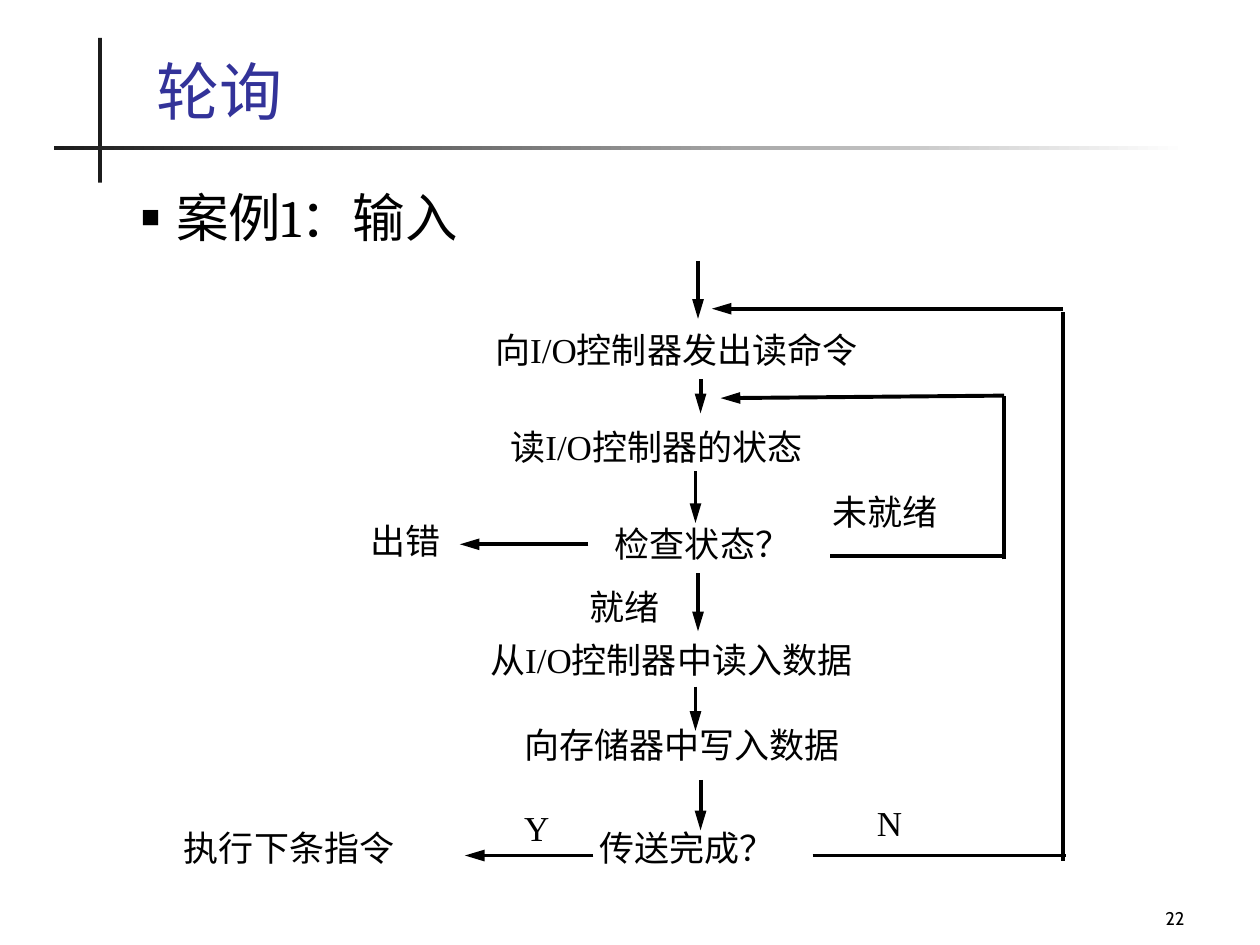
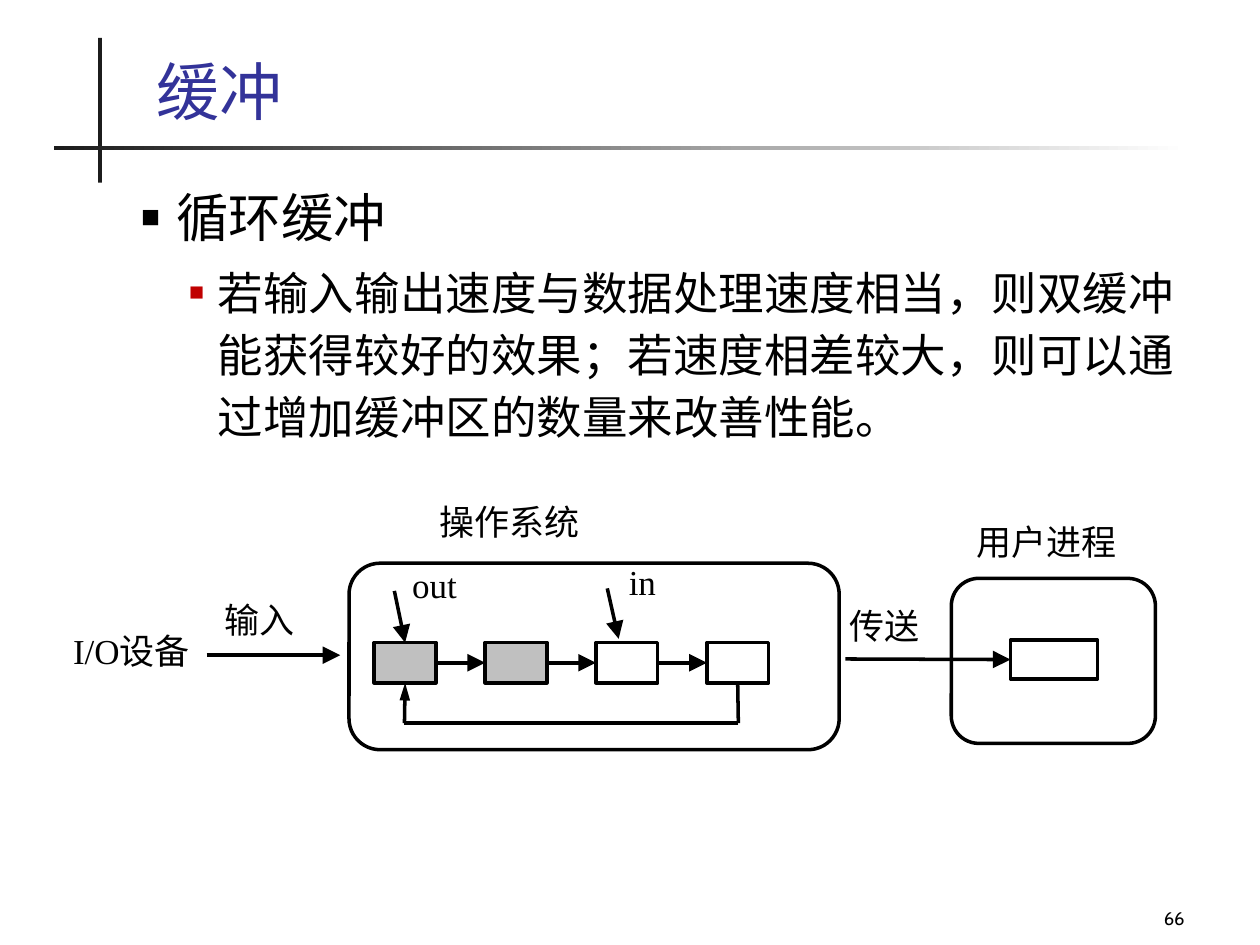
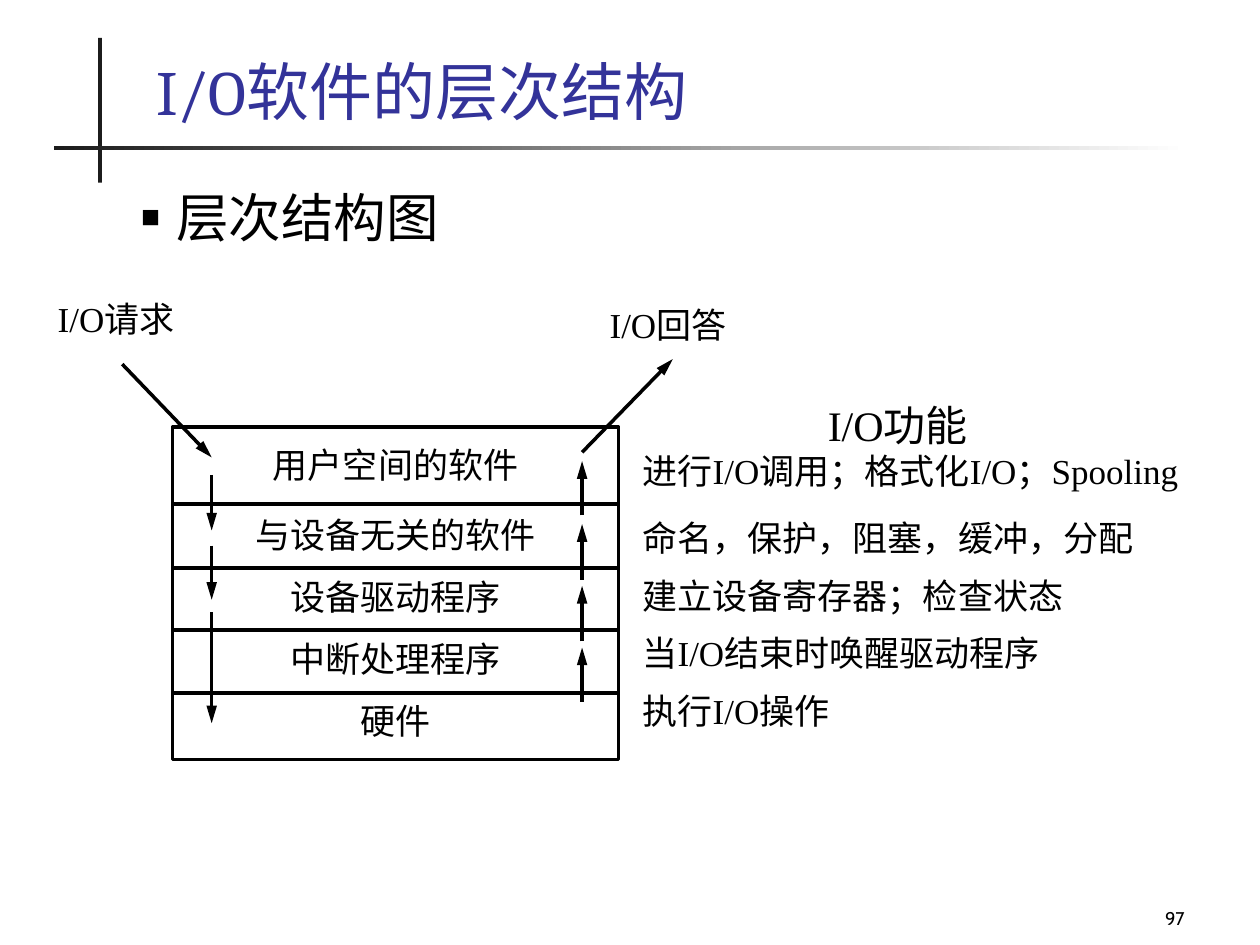
from dataclasses import dataclass
from lxml.etree import SubElement
from pptx import Presentation
from pptx.dml.color import RGBColor as RGB
from pptx.enum.shapes import MSO_CONNECTOR as Link, MSO_SHAPE as Kind
from pptx.enum.text import MSO_ANCHOR as Anchor, MSO_AUTO_SIZE as Fit, PP_ALIGN as Align
from pptx.oxml.ns import qn
from pptx.util import Inches, Pt


@dataclass(frozen=True)
class Theme:
    ink: str = "000000"
    paper: str = "FFFFFF"
    band: str = "1C1C1C"
    title: str = "333399"
    mark: str = "C00000"
    full: str = "C0C0C0"
    serif: str = "Cambria"
    label: str = "Times New Roman"
    small: str = "Cabin"
    head: float = 36
    list: float = 30
    sub: float = 26
    key: float = 24
    text: float = 20
    page: float = 10.5
    line: float = 2
    bold: float = 2.25


T = Theme()


def color(code):
    return RGB.from_string(code)


def write(par, text, size=T.text, font=T.label, ink=T.ink, align=Align.JUSTIFY,
          before=0, space=None, left=0, hang=0):
    run = par.add_run()
    run.text = text
    run.font.size = Pt(size)
    run.font.name = font
    run.font.color.rgb = color(ink)
    par.alignment = align
    par.space_before = Pt(before)
    if space:
        par.line_spacing = space
    props = par._p.get_or_add_pPr()
    props.set("marL", str(Inches(left)))
    props.set("indent", str(Inches(-hang)))


def bullet(par, ink, size):
    props = par._p.get_or_add_pPr()
    tint = SubElement(props, qn("a:buClr"))
    SubElement(tint, qn("a:srgbClr"), val=ink)
    SubElement(props, qn("a:buSzPct"), val=str(size * 1000))
    SubElement(props, qn("a:buChar"), char="■")


def frame(shape, inset=(0, 0, 0, 0), anchor=Anchor.TOP):
    body = shape.text_frame
    body.word_wrap = True
    body.auto_size = Fit.NONE
    body.vertical_anchor = anchor
    sides = [Inches(n) for n in inset]
    body.margin_left, body.margin_top, body.margin_right, body.margin_bottom = sides
    return body


def place(shape, *box):
    shape.left, shape.top, shape.width, shape.height = map(Inches, box)


def stack(body, rows):
    for i, (text, style) in enumerate(rows):
        par = body.add_paragraph() if i else body.paragraphs[0]
        write(par, text, **style)


def label(slide, text, *box, inset=(0, 0, 0, 0), anchor=Anchor.TOP, **style):
    shape = slide.shapes.add_textbox(*map(Inches, box))
    stack(frame(shape, inset, anchor), [(text, style)])


def block(slide, *box, kind=Kind.RECTANGLE, fill=T.paper, edge=True):
    shape = slide.shapes.add_shape(kind, *map(Inches, box))
    shape.shadow.inherit = False
    shape.fill.solid()
    shape.fill.fore_color.rgb = color(fill)
    if edge:
        shape.line.color.rgb = color(T.ink)
        shape.line.width = Pt(T.line)
    else:
        shape.line.fill.background()
    return shape


def wire(slide, x1, y1, x2, y2, width=T.line, tip=None, start=None, end=None):
    link = slide.shapes.add_connector(Link.STRAIGHT, *map(Inches, (x1, y1, x2, y2)))
    link.line.color.rgb = color(T.ink)
    link.line.width = Pt(width)
    props = link._element.spPr
    if tip:
        SubElement(props.find(qn("a:ln")), qn("a:tailEnd"), type="triangle", w=tip, len="lg")
    SubElement(props, qn("a:effectLst"))
    if start:
        link.begin_connect(*start)
    if end:
        link.end_connect(*end)


def page(deck, title, items, number):
    slide = deck.slides.add_slide(deck.slide_layouts[1])
    block(slide, 0.78, 0.3, 0.03, 1.15, fill=T.band, edge=False)
    rule = block(slide, 0.43, 1.16, 9, 0.03, edge=False)
    rule.fill.gradient()
    rule.fill.gradient_angle = 0
    for stop, code in zip(rule.fill.gradient_stops, (T.band, T.paper)):
        stop.color.rgb = color(code)
    pad = (0.1, 0.05, 0.1, 0.05)
    head = slide.shapes.title
    place(head, 1.14, 0.25, 8.59, 0.82)
    stack(frame(head, pad, Anchor.BOTTOM),
          [(title, dict(size=T.head, font=T.serif, ink=T.title, align=Align.LEFT))])
    body = slide.placeholders[1]
    place(body, 1.02, 1.35, 8.5, 5.35)
    looks = [(T.list, 0.28, 0.28, T.ink, 60), (T.sub, 0.61, 0.23, T.mark, 55)]
    text = frame(body, pad)
    stack(text, [(item, dict(size=size, font=T.serif, align=Align.LEFT, before=size / 5,
                             space=1.14, left=left, hang=hang))
                 for item, (size, left, hang, _, _) in zip(items, looks)])
    for level, (par, look) in enumerate(zip(text.paragraphs, looks)):
        par.level = level
        bullet(par, *look[3:])
    label(slide, number, 7.42, 6.92, 2.08, 0.5, inset=pad, anchor=Anchor.BOTTOM,
          size=T.page, font=T.small, align=Align.RIGHT)
    return slide


def polling(deck):
    slide = page(deck, "轮询", ["案例1：输入"], "22")
    for text, *box in [
        ("向I/O控制器发出读命令", 3.93, 2.61, 3.63, 0.46),
        ("读I/O控制器的状态", 4.05, 3.38, 3.12, 0.44),
        ("检查状态？", 4.88, 4.15, 1.78, 0.45),
        ("从I/O控制器中读入数据", 3.89, 5.07, 3.77, 0.43),
        ("向存储器中写入数据", 4.16, 5.74, 3.3, 0.46),
        ("传送完成？", 4.76, 6.56, 1.83, 0.43),
        ("执行下条指令", 1.46, 6.56, 2.21, 0.39),
        ("出错", 2.94, 4.12, 0.82, 0.46),
        ("就绪", 4.68, 4.65, 0.78, 0.46),
        ("未就绪", 6.61, 3.89, 1.14, 0.43),
        ("Y", 4.16, 6.4, 0.4, 0.46),
        ("N", 6.96, 6.36, 0.4, 0.43),
    ]:
        label(slide, text, *box)
    for ends in [(6.59, 4.41, 7.96, 4.41), (7.97, 4.44, 7.97, 3.14),
                 (6.45, 6.79, 8.46, 6.79), (8.44, 6.83, 8.44, 2.48)]:
        wire(slide, *ends, width=T.bold)
    steps = [(5.54, 2.07, 2.53), (5.56, 3.01, 3.28), (5.52, 3.74, 4.15),
             (5.54, 4.55, 5.01), (5.52, 5.45, 5.8), (5.56, 6.19, 6.59)]
    turns = [(7.97, 3.14, 5.72, 3.16), (8.44, 2.45, 5.65, 2.45),
             (4.67, 4.32, 3.65, 4.32), (4.71, 6.79, 3.69, 6.79)]
    for ends in [(x, top, x, low) for x, top, low in steps] + turns:
        wire(slide, *ends, width=T.bold, tip="med")


def buffers(deck):
    slide = page(deck, "缓冲", [
        "循环缓冲",
        "若输入输出速度与数据处理速度相当，则双缓冲能获得较好的效果；"
        "若速度相差较大，则可以通过增加缓冲区的数量来改善性能。",
    ], "66")
    block(slide, 2.77, 4.47, 3.89, 1.48, kind=Kind.ROUNDED_RECTANGLE)
    block(slide, 7.55, 4.59, 1.62, 1.31, kind=Kind.ROUNDED_RECTANGLE)
    user = block(slide, 8.02, 5.08, 0.69, 0.31)
    fills = [T.full, T.full, T.paper, T.paper]
    slots = [block(slide, 2.97 + 0.88 * i, 5.1, 0.49, 0.32, fill=fill)
             for i, fill in enumerate(fills)]
    for text, *box in [
        ("操作系统", 3.49, 3.92, 1.27, 0.49),
        ("I/O设备", 0.58, 4.95, 1.15, 0.47),
        ("输入", 1.78, 4.7, 0.85, 0.47),
        ("用户进程", 7.75, 4.08, 1.24, 0.51),
        ("传送", 6.74, 4.75, 0.85, 0.45),
    ]:
        label(slide, text, *box, inset=(0, 0.05, 0, 0.05))
    label(slide, "in", 4.99, 4.45, 0.29, 0.3)
    label(slide, "out", 3.27, 4.47, 0.51, 0.28)
    first, last = slots[0], slots[-1]
    for i, (a, b) in enumerate(zip(slots, slots[1:])):
        x = 3.46 + 0.88 * i
        wire(slide, x, 5.26, x + 0.39, 5.26, tip="lg", start=(a, 3), end=(b, 1))
    wire(slide, 1.64, 5.2, 2.7, 5.2, tip="lg")
    wire(slide, 6.71, 5.23, 8.02, 5.23, tip="lg", end=(user, 1))
    wire(slide, 3.13, 4.69, 3.22, 5.1, tip="lg", end=(first, 0))
    wire(slide, 4.82, 4.67, 4.91, 5.07, tip="lg")
    wire(slide, 5.86, 5.42, 5.86, 5.74, start=(last, 2))
    wire(slide, 5.86, 5.74, 3.21, 5.74)
    wire(slide, 3.21, 5.74, 3.21, 5.42, tip="med", end=(first, 2))


def layers(deck):
    slide = page(deck, "I/O软件的层次结构", ["层次结构图"], "97")
    tower = block(slide, 1.37, 3.39, 3.54, 2.64)
    names = ["用户空间的软件", "与设备无关的软件", "设备驱动程序", "中断处理程序", "硬件"]
    gaps = [0, 16, 11.5, 11.5, 11.5]
    stack(frame(tower, (0.1, 0.13, 0.1, 0.05)),
          [(name, dict(align=Align.CENTER, before=gap)) for name, gap in zip(names, gaps)])
    for y in (4, 4.51, 5, 5.5):
        wire(slide, 1.37, y, 4.91, y)
    downs = [(3.77, 4.21), (4.33, 4.76), (4.86, 5.74)]
    ups = [(4.09, 3.66), (4.6, 4.16), (5.09, 4.65), (5.57, 5.14)]
    for x, runs in ((1.68, downs), (4.62, ups)):
        for start, end in runs:
            wire(slide, x, start, x, end, tip="med")
    wire(slide, 0.97, 2.89, 1.68, 3.63, tip="med")
    wire(slide, 4.62, 3.59, 5.34, 2.85, tip="med")
    for text, x, y in (("I/O请求", 0.36, 2.31), ("I/O回答", 4.74, 2.36)):
        label(slide, text, x, y, 1.26, 0.39, inset=(0.1, 0.05, 0.1, 0.05))
    tasks = slide.shapes.add_textbox(*map(Inches, (5.08, 3.16, 4.57, 2.97)))
    stack(frame(tasks, (0.02, 0.01, 0.02, 0.01)), [
        ("I/O功能", dict(size=T.key, left=1.47)),
        ("进行I/O调用；格式化I/O；Spooling", {}),
        ("命名，保护，阻塞，缓冲，分配", dict(before=14)),
        ("建立设备寄存器；检查状态", dict(before=9)),
        ("当I/O结束时唤醒驱动程序", dict(before=9)),
        ("执行I/O操作", dict(before=9)),
    ])


def main():
    deck = Presentation()
    deck.slide_width, deck.slide_height = Inches(10), Inches(7.5)
    polling(deck)
    buffers(deck)
    layers(deck)
    deck.save("out.pptx")


if __name__ == "__main__":
    main()
